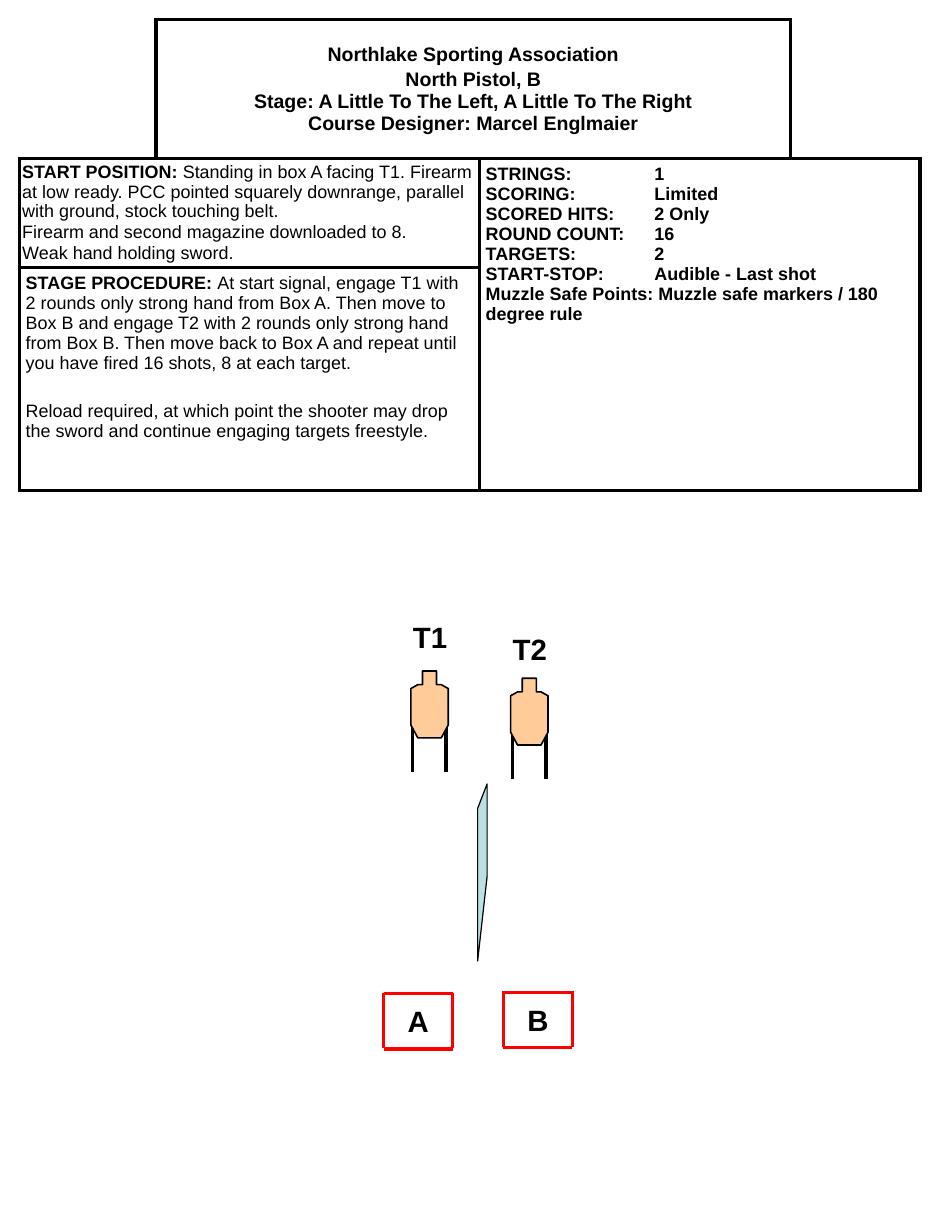
from typing import NamedTuple

from lxml import etree
from pptx import Presentation
from pptx.dml.color import RGBColor
from pptx.enum.shapes import MSO_CONNECTOR
from pptx.enum.text import MSO_ANCHOR, MSO_AUTO_SIZE, PP_ALIGN
from pptx.oxml.ns import qn
from pptx.util import Pt

STRAIGHT = MSO_CONNECTOR.STRAIGHT
MIDDLE = MSO_ANCHOR.MIDDLE
GROW = MSO_AUTO_SIZE.SHAPE_TO_FIT_TEXT
LEFT, CENTER = PP_ALIGN.LEFT, PP_ALIGN.CENTER
FONT = "Arial"
COLORS = {"ink": "000000", "paper": "FFFFFF", "box": "FF0000",
          "target": "FFCC99", "wall": "BBE0E3"}


class Run(NamedTuple):
    text: str
    bold: bool = False


class Para(NamedTuple):
    runs: list[Run]
    before: float = 0


class Block(NamedTuple):
    row: int
    col: int
    end_row: int
    end_col: int
    paras: list[Para]
    size: float = 11
    margins: tuple[float, float] = (3.6, 3.6)
    align: PP_ALIGN = LEFT
    tab: float = 0


class Marker(NamedTuple):
    label: str
    x: float
    y: float


class Target(NamedTuple):
    label: str
    x: float
    y: float
    label_x: float
    label_y: float


COLS = [83.5, 198.7, 190.8, 79.2]
ROWS = [85, 67, 136.8]
FACTS = [("STRINGS:", "1"), ("SCORING:", "Limited"), ("SCORED HITS:", "2 Only"),
         ("ROUND COUNT:", "16"), ("TARGETS:", "2"),
         ("START-STOP:", "Audible - Last shot")]
BLOCKS = [
    Block(0, 1, 0, 2, [
        Para([Run("Northlake Sporting Association", True)]),
        Para([Run("North Pistol, B\vStage: A Little To The Left, A Little To The Right\v"
                  "Course Designer: Marcel Englmaier", True)], 2.4),
    ], size=12, align=CENTER),
    Block(1, 0, 1, 1, [
        Para([Run("START POSITION: ", True),
              Run("Standing in box A facing T1. Firearm at low ready. PCC pointed squarely "
                  "downrange, parallel with ground, stock touching belt.")]),
        Para([Run("Firearm and second magazine downloaded to 8.")], 0.55),
        Para([Run("Weak hand holding sword.")], 0.55),
    ], margins=(1.44, 2.16)),
    Block(1, 2, 2, 3, [
        *[Para([Run(f"{name}\t{value}", True)]) for name, value in FACTS],
        Para([Run("Muzzle Safe Points: Muzzle safe markers / 180 degree rule", True)]),
    ], tab=103.5),
    Block(2, 0, 2, 1, [
        Para([Run("STAGE PROCEDURE: ", True),
              Run("At start signal, engage T1 with 2 rounds only strong hand from Box A. "
                  "Then move to Box B and engage T2 with 2 rounds only strong hand from "
                  "Box B. Then move back to Box A and repeat until you have fired 16 shots, "
                  "8 at each target.")]),
        Para([Run("Reload required, at which point the shooter may drop the sword and "
                  "continue engaging targets freestyle.")], 17),
    ]),
]
TARGETS = [Target("T1", 252, 411.8, 246.2, 376.6),
           Target("T2", 313.2, 416.2, 307.4, 383.8)]
MARKERS = [Marker("A", 235.4, 609.1), Marker("B", 308.8, 608.4)]
TORSO = [(7.2, 0), (15.8, 0), (15.8, 8.4), (18.7, 8.4), (23, 10.8), (23, 33.1),
         (18.7, 41), (4.3, 41), (0, 33.1), (0, 10.8), (4.3, 8.4), (7.2, 8.4)]
WALL = [(298.8, 537.8), (293, 589.7), (293, 496.1), (298.8, 481)]


def rgb(key: str) -> RGBColor:
    return RGBColor.from_string(COLORS[key])


def add_run(p, run: Run, size: float) -> None:
    r = p.add_run()
    r.text = run.text
    r.font.name, r.font.size, r.font.bold = FONT, Pt(size), run.bold
    r.font.color.rgb = rgb("ink")


def add_border(cell, sides: str) -> None:
    tc_pr = cell._tc.get_or_add_tcPr()
    for i, side in enumerate(sides):
        ln = etree.Element(qn(f"a:ln{side}"), w=str(Pt(2.25)))
        fill = etree.SubElement(ln, qn("a:solidFill"))
        etree.SubElement(fill, qn("a:srgbClr"), val=COLORS["ink"])
        tc_pr.insert(i, ln)


def fill_block(table, block: Block) -> None:
    cell = table.cell(block.row, block.col)
    cell.merge(table.cell(block.end_row, block.end_col))
    cell.margin_left = cell.margin_right = Pt(block.margins[0])
    cell.margin_top = cell.margin_bottom = Pt(block.margins[1])
    if block.align == CENTER:
        cell.vertical_anchor = MIDDLE
    tf = cell.text_frame
    for i, para in enumerate(block.paras):
        p = tf.add_paragraph() if i else tf.paragraphs[0]
        p.alignment = block.align
        p.space_before = Pt(para.before)
        if block.tab:
            tabs = etree.SubElement(p._p.get_or_add_pPr(), qn("a:tabLst"))
            etree.SubElement(tabs, qn("a:tab"), pos=str(Pt(block.tab)), algn="l")
        for run in para.runs:
            lines = run.text.split("\v")
            for n, line in enumerate(lines):
                if n:
                    p.add_line_break()
                add_run(p, Run(line, run.bold), block.size)


def add_briefing(shapes) -> None:
    table = shapes.add_table(len(ROWS), len(COLS), Pt(12.2), Pt(12.2),
                             Pt(sum(COLS)), Pt(sum(ROWS))).table
    table.first_row = table.horz_banding = False
    for col, width in zip(table.columns, COLS):
        col.width = Pt(width)
    for row, height in zip(table.rows, ROWS):
        row.height = Pt(height)
    corners = {(0, 0): "RB", (0, len(COLS) - 1): "LB"}
    for i in range(len(ROWS)):
        for j in range(len(COLS)):
            cell = table.cell(i, j)
            cell.fill.solid()
            cell.fill.fore_color.rgb = rgb("paper")
            add_border(cell, corners.get((i, j), "LRTB"))
    for block in BLOCKS:
        fill_block(table, block)


def add_label(shapes, text: str, x: float, y: float, w: float) -> None:
    tf = shapes.add_textbox(Pt(x), Pt(y), Pt(w), Pt(28.8)).text_frame
    tf.word_wrap, tf.auto_size = True, GROW
    add_run(tf.paragraphs[0], Run(text, True), 18)


def add_line(shapes, x1: float, y1: float, x2: float, y2: float,
             color: str, width: float) -> None:
    cx = shapes.add_connector(STRAIGHT, Pt(x1), Pt(y1), Pt(x2), Pt(y2))
    cx.line.color.rgb, cx.line.width = rgb(color), Pt(width)
    etree.SubElement(cx._element.spPr, qn("a:effectLst"))


def add_outline(shapes, points: list[tuple[float, float]], color: str,
                width: float, dx: float = 0, dy: float = 0) -> None:
    pts = [(Pt(x + dx), Pt(y + dy)) for x, y in points]
    fb = shapes.build_freeform(*pts[0])
    fb.add_line_segments(pts[1:], close=True)
    sp = fb.convert_to_shape()
    sp.shadow.inherit = False
    sp.fill.solid()
    sp.fill.fore_color.rgb = rgb(color)
    sp.line.color.rgb, sp.line.width = rgb("ink"), Pt(width)


def add_target(shapes, t: Target) -> None:
    add_label(shapes, t.label, t.label_x, t.label_y, 41.8)
    group = shapes.add_group_shape().shapes
    for dx in (1.1, 21.6):
        add_line(group, t.x + dx, t.y + 30.2, t.x + dx, t.y + 61.9, "ink", 2.25)
    add_outline(group, TORSO, "target", 1, t.x, t.y)


def add_marker(shapes, m: Marker) -> None:
    group = shapes.add_group_shape().shapes
    right = m.x + 42.3
    for y in (m.y + 0.6, m.y + 34.6):
        add_line(group, right, y, m.x, y, "box", 2)
    for x in (m.x, right):
        add_line(group, x, m.y, x, m.y + 33.9, "box", 2)
    add_label(group, m.label, m.x + 7.6, m.y + 2.9, 61.9)


def main() -> None:
    """Build the stage briefing slide."""
    prs = Presentation()
    prs.slide_width, prs.slide_height = Pt(576), Pt(756)
    shapes = prs.slides.add_slide(prs.slide_layouts[6]).shapes
    add_briefing(shapes)
    for marker in MARKERS:
        add_marker(shapes, marker)
    for target in TARGETS:
        add_target(shapes, target)
    add_outline(shapes, WALL, "wall", 0.75)
    prs.save("out.pptx")


if __name__ == "__main__":
    main()
